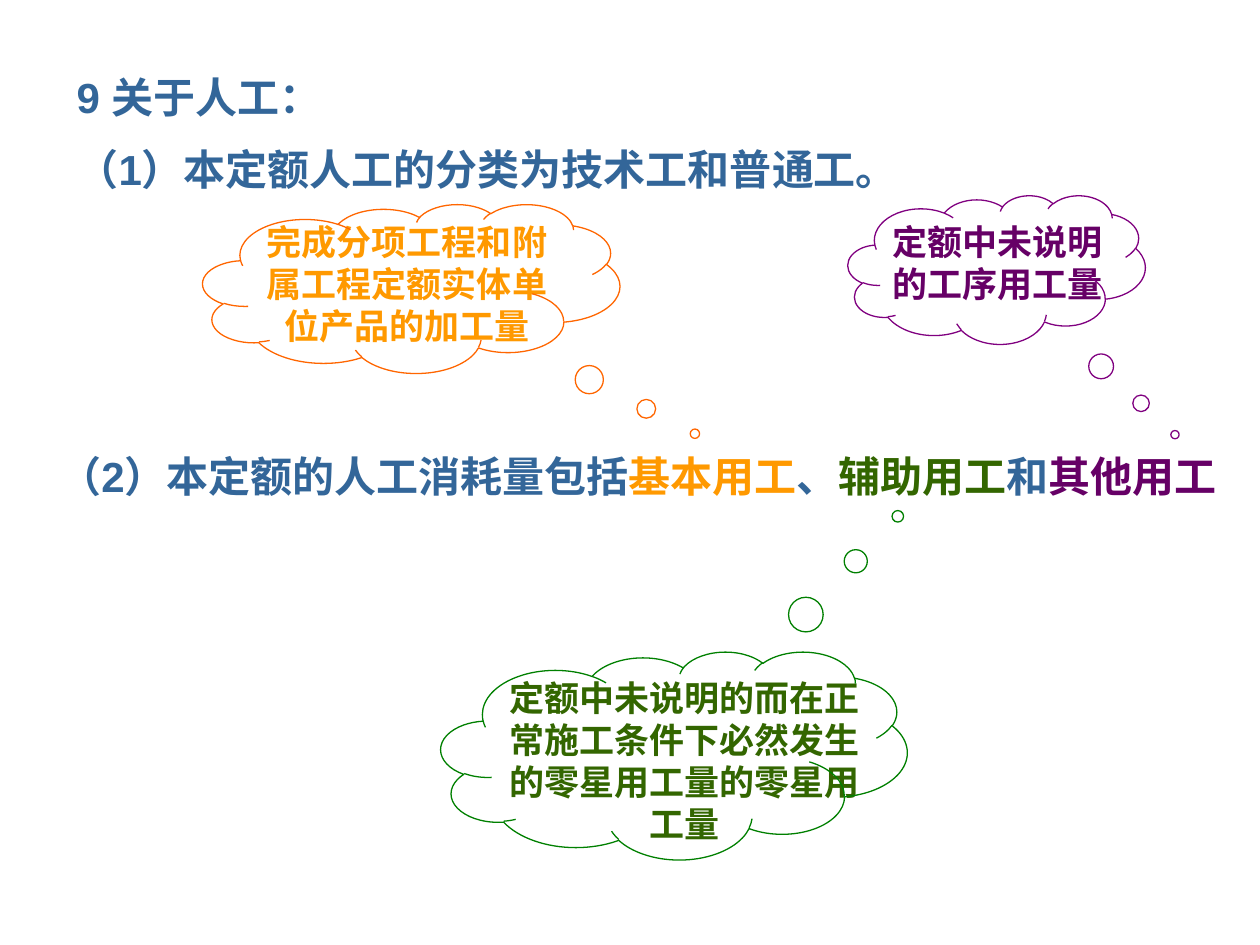
from pptx import Presentation
from pptx.dml.color import RGBColor
from pptx.enum.shapes import MSO_SHAPE
from pptx.enum.text import PP_ALIGN
from pptx.util import Inches, Pt

CLOUD = MSO_SHAPE.CLOUD_CALLOUT
LEFT, CENTER = PP_ALIGN.LEFT, PP_ALIGN.CENTER
FONT = "Arial"
BLUE, ORANGE, GREEN, PURPLE = "336699", "FF9900", "336600", "660066"

HEADING = [
    [("9 关于人工：", BLUE)],
    [("（1）本定额人工的分类为技术工和普通工。", BLUE)],
]
LABOUR_TYPES = [[
    ("（2）本定额的人工消耗量包括", BLUE),
    ("基本用工", ORANGE),
    ("、", BLUE),
    ("辅助用工", GREEN),
    ("和", BLUE),
    ("其他用工", PURPLE),
]]
# text, text colour, text box, cloud box, cloud tail, outline colour
THOUGHTS = [
    ("完成分项工程和附属工程定额实体单位产品的加工量", ORANGE,
     (1.93, 1.7, 2.6, 1.1), (1.61, 1.62, 3.31, 1.34), (0.68, 0.86), "FF6600"),
    ("定额中未说明的而在正常施工条件下必然发生的零星用工量的零星用工量", GREEN,
     (3.9, 5.32, 3.07, 1.43), (3.5, 5.17, 3.7, 1.65), (0.48, -1.15), "008000"),
    ("定额中未说明的工序用工量", PURPLE,
     (6.89, 1.7, 2.05, 0.77), (6.73, 1.55, 2.36, 1.18), (0.6, 1.11), "800080"),
]


def rgb(color):
    return RGBColor.from_string(color)


def add_text(slide, box, paragraphs, size, align=LEFT):
    tf = slide.shapes.add_textbox(*map(Inches, box)).text_frame
    tf.word_wrap = True
    for i, runs in enumerate(paragraphs):
        p = tf.paragraphs[0] if i == 0 else tf.add_paragraph()
        p.alignment = align
        if i:
            p.space_before = Pt(size / 2)
        for text, color in runs:
            r = p.add_run()
            r.text = text
            r.font.name = FONT
            r.font.size = Pt(size)
            r.font.bold = True
            r.font.color.rgb = rgb(color)


def add_cloud(slide, box, tail, color):
    s = slide.shapes.add_shape(CLOUD, *map(Inches, box))
    s.shadow.inherit = False
    s.adjustments[0], s.adjustments[1] = tail
    s.fill.background()
    s.line.color.rgb = rgb(color)
    s.line.width = Pt(0.75)


def main():
    prs = Presentation()
    prs.slide_width, prs.slide_height = Inches(10), Inches(7.5)
    slide = prs.slides.add_slide(prs.slide_layouts[6])

    # Heading and first point
    add_text(slide, (0.51, 0.52, 9.14, 1.1), HEADING, 24)

    # Thought clouds explaining each labour type
    for text, color, text_box, cloud_box, tail, outline in THOUGHTS:
        add_text(slide, text_box, [[(text, color)]], 20, CENTER)
        add_cloud(slide, cloud_box, tail, outline)

    # Second point, with each labour type in the colour of its cloud
    add_text(slide, (0.36, 3.53, 9.41, 0.5), LABOUR_TYPES, 24, CENTER)

    prs.save("out.pptx")


if __name__ == "__main__":
    main()
